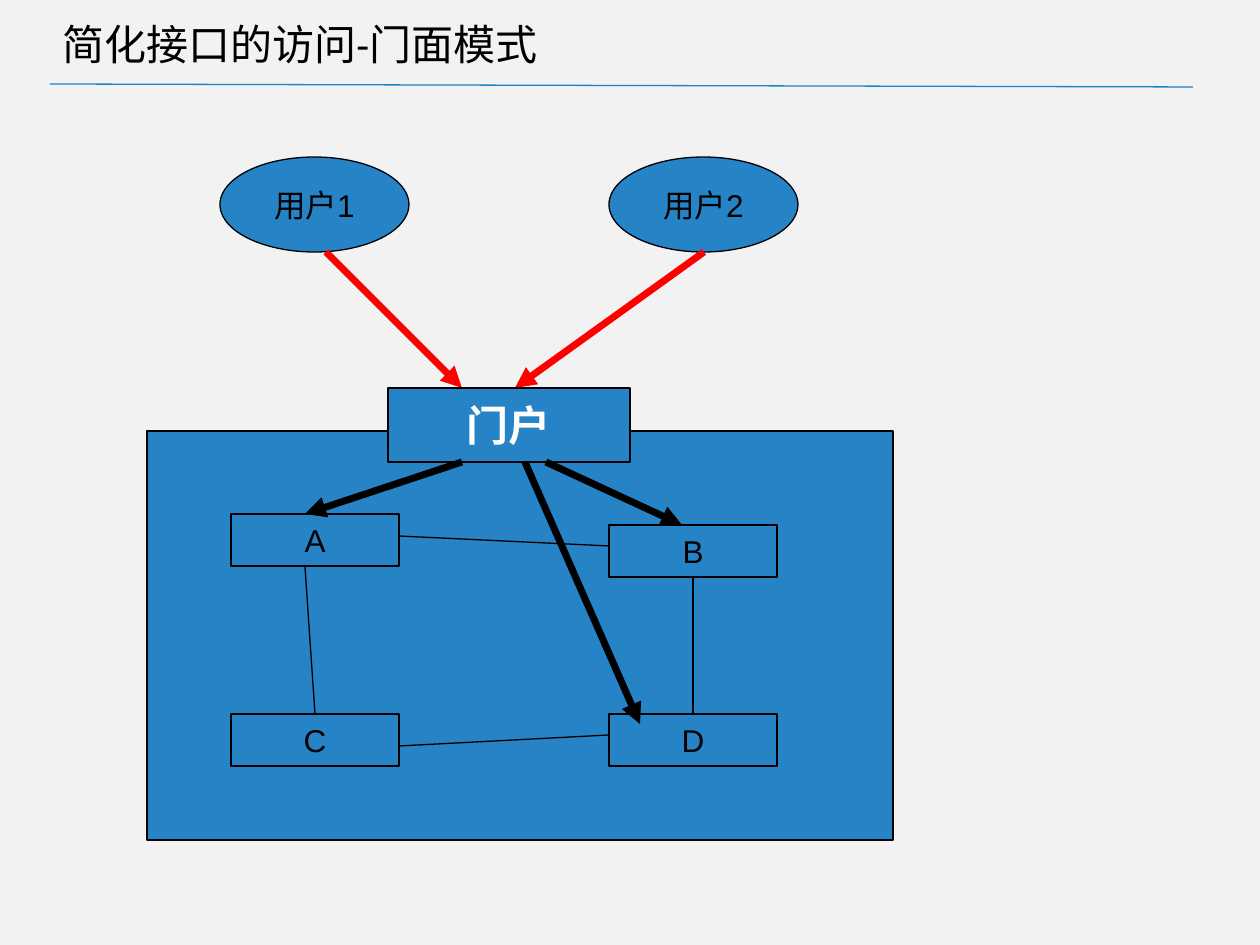
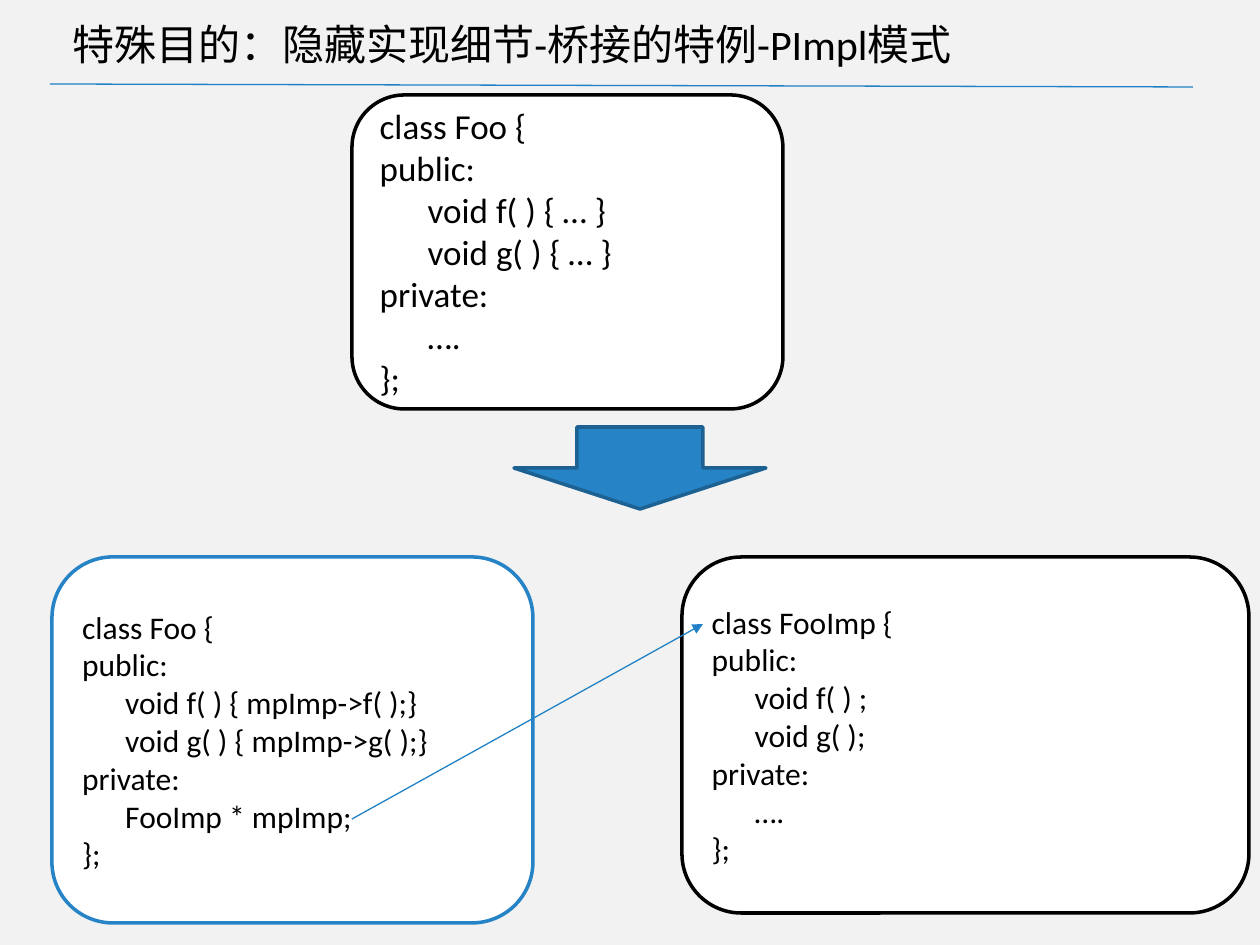
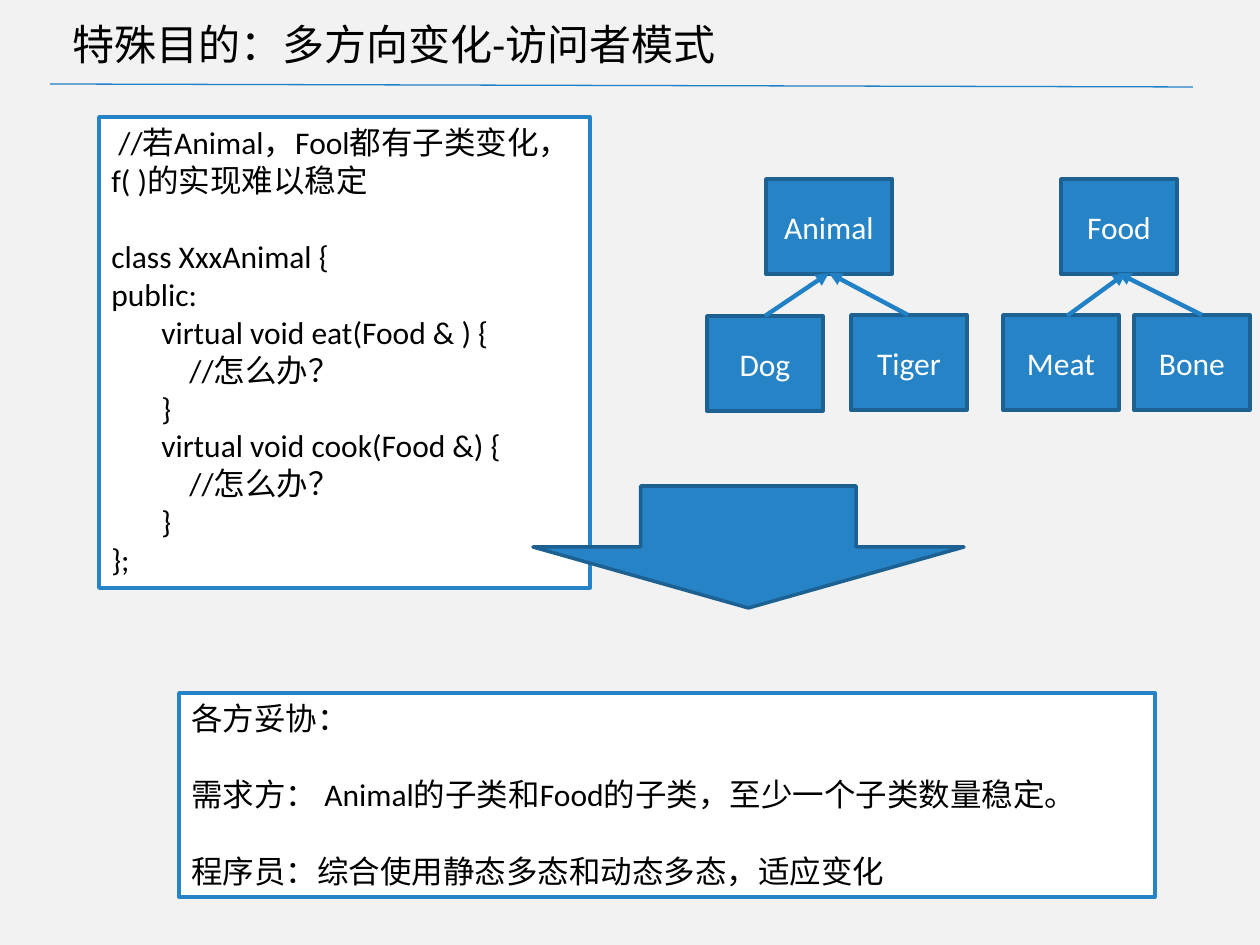
from pptx import Presentation
from pptx.dml.color import RGBColor
from pptx.enum.shapes import MSO_CONNECTOR, MSO_SHAPE
from pptx.enum.text import MSO_ANCHOR, PP_ALIGN
from pptx.oxml.ns import qn
from pptx.util import Emu, Pt
from lxml import etree

PX = 914400 / 126  # EMU per px
BACKGROUND = RGBColor(0xF2, 0xF2, 0xF2)
BLUE = RGBColor(0x26, 0x83, 0xC6)
LINE_BLUE = RGBColor(0x21, 0x81, 0xC6)
DARK_BLUE = RGBColor(0x1C, 0x61, 0x92)
RED = RGBColor(0xFF, 0x00, 0x00)
BLACK = RGBColor(0x00, 0x00, 0x00)
WHITE = RGBColor(0xFF, 0xFF, 0xFF)


def add_box(s, kind, box, fill, line, width, lines=(), size=18, font="Calibri",
            color=BLACK, align=PP_ALIGN.LEFT, anchor=MSO_ANCHOR.MIDDLE):
    """Add a shape; each of its lines is a text or an (indent, text) pair."""
    sp = s.shapes.add_shape(kind, *[Emu(round(v * PX)) for v in box])
    sp.shadow.inherit = False
    if fill is None:
        sp.fill.background()
    else:
        sp.fill.solid()
        sp.fill.fore_color.rgb = fill
    if line is None:
        sp.line.fill.background()
    else:
        sp.line.color.rgb = line
        sp.line.width = Pt(width)
    tf = sp.text_frame
    tf.word_wrap = True
    tf.vertical_anchor = anchor
    for i, item in enumerate(lines):
        indent, text = (0, item) if isinstance(item, str) else item
        p = tf.add_paragraph() if i else tf.paragraphs[0]
        p.text = text
        p.alignment = align
        p.font.size = Pt(size)
        p.font.name = font
        p.font.color.rgb = color
        if indent:
            p._p.get_or_add_pPr().set("marL", str(round(indent * PX)))
    return sp


def add_line(s, points, color, width, arrow=False):
    cx = s.shapes.add_connector(MSO_CONNECTOR.STRAIGHT,
                                *[Emu(round(v * PX)) for v in points])
    cx.line.color.rgb = color
    cx.line.width = Pt(width)
    if arrow:
        etree.SubElement(cx.line._get_or_add_ln(), qn("a:tailEnd"), type="triangle")
    etree.SubElement(cx._element.spPr, qn("a:effectLst"))


prs = Presentation()
prs.slide_width = Emu(round(1260 * PX))
prs.slide_height = Emu(round(945 * PX))

# Shared background, rule and title
titles = [(0, "简化接口的访问-门面模式"),
          (10, "特殊目的：隐藏实现细节-桥接的特例-PImpl模式"),
          (10, "特殊目的：多方向变化-访问者模式")]
slides = []
for title in titles:
    s = prs.slides.add_slide(prs.slide_layouts[6])
    s.background.fill.solid()
    s.background.fill.fore_color.rgb = BACKGROUND
    add_line(s, (50, 84, 1193, 87), LINE_BLUE, 0.75)
    add_box(s, MSO_SHAPE.RECTANGLE, (50, 10, 1086, 67), None, None, 0, [title], 24)
    slides.append(s)
facade, pimpl, visitor = slides

# Facade: subsystem and its parts
add_box(facade, MSO_SHAPE.RECTANGLE, (147, 431, 746, 409), BLUE, BLACK, 0.75)
for name, x, y in [("C", 231, 714), ("B", 609, 525), ("D", 609, 714), ("A", 231, 514)]:
    add_box(facade, MSO_SHAPE.RECTANGLE, (x, y, 168, 52), None, BLACK, 0.75,
            [name], font="Arial", align=PP_ALIGN.CENTER)
for points in [(399, 536, 609, 546), (305, 567, 315, 714),
               (399, 746, 609, 735), (693, 714, 693, 577)]:
    add_line(facade, points, BLACK, 0.75)

# Facade: users, portal and calls
for name, x in [("用户1", 220), ("用户2", 609)]:
    add_box(facade, MSO_SHAPE.OVAL, (x, 157, 189, 95), BLUE, BLACK, 0.75,
            [name], font="Arial", align=PP_ALIGN.CENTER)
for points in [(326, 252, 462, 388), (704, 252, 515, 388)]:
    add_line(facade, points, RED, 4, True)
portal = add_box(facade, MSO_SHAPE.RECTANGLE, (388, 388, 242, 74), BLUE, BLACK, 0.75,
                 ["门户"], 24, "Arial", WHITE, PP_ALIGN.CENTER)
portal.text_frame.paragraphs[0].font.bold = True
for points in [(462, 462, 305, 514), (546, 462, 682, 525), (525, 462, 640, 724)]:
    add_line(facade, points, BLACK, 4, True)

# PImpl: class before and after the split
classes = [
    ((352, 95, 431, 314), BLACK, 20, 48,
     "Foo", "void f( ) { … }", "void g( ) { … }", "…."),
    ((52, 557, 481, 366), BLUE, 18, 43,
     "Foo", "void f( ) { mpImp->f( );}", "void g( ) { mpImp->g( );}", "FooImp * mpImp;"),
    ((682, 557, 567, 356), BLACK, 18, 43,
     "FooImp", "void f( ) ;", "void g( );", "…."),
]
for box, line, size, indent, name, f, g, member in classes:
    code = [f"class {name} {{", "public:", (indent, f), (indent, g),
            "private:", (indent, member), "};"]
    add_box(pimpl, MSO_SHAPE.ROUNDED_RECTANGLE, box, WHITE, line, 2, code, size)
add_box(pimpl, MSO_SHAPE.DOWN_ARROW, (514, 427, 252, 82), BLUE, DARK_BLUE, 2)
add_line(pimpl, (352, 819, 703, 624), LINE_BLUE, 0.75, True)

# Visitor: class trees
for name, x, y, w in [("Animal", 766, 179, 126), ("Food", 1061, 179, 116),
                      ("Dog", 707, 316, 116), ("Tiger", 851, 315, 116),
                      ("Meat", 1003, 315, 116), ("Bone", 1134, 315, 116)]:
    add_box(visitor, MSO_SHAPE.RECTANGLE, (x, y, w, 95), BLUE, DARK_BLUE, 2,
            [name], color=WHITE, align=PP_ALIGN.CENTER)
for points in [(765, 316, 829, 273), (908, 315, 829, 273),
               (1067, 316, 1126, 273), (1202, 315, 1118, 273)]:
    add_line(visitor, points, LINE_BLUE, 2.5, True)

# Visitor: problem code
code = ["//若Animal，Fool都有子类变化，f( )的实现难以稳定",
        "class XxxAnimal {", "public:",
        (50, "virtual void eat(Food & ) {"), (78, "//怎么办？"), (50, "}"),
        (50, "virtual void cook(Food &) {"), (78, "//怎么办？"), (50, "}"),
        "};"]
problem = add_box(visitor, MSO_SHAPE.RECTANGLE, (99, 117, 491, 471), WHITE, BLUE, 2,
                  code, anchor=MSO_ANCHOR.TOP)
comment, first_line = problem.text_frame.paragraphs[:2]
comment._p.get_or_add_pPr().set("indent", str(round(7 * PX)))
first_line.space_before = Pt(22)

# Visitor: compromise
add_box(visitor, MSO_SHAPE.DOWN_ARROW, (533, 486, 431, 122), BLUE, DARK_BLUE, 2)
compromise = add_box(
    visitor, MSO_SHAPE.RECTANGLE, (179, 693, 976, 204), WHITE, BLUE, 2,
    ["各方妥协：", "需求方： Animal的子类和Food的子类，至少一个子类数量稳定。",
     "程序员：综合使用静态多态和动态多态，适应变化"], anchor=MSO_ANCHOR.TOP)
for p in compromise.text_frame.paragraphs[1:]:
    p.space_before = Pt(22)

prs.save("out.pptx")
